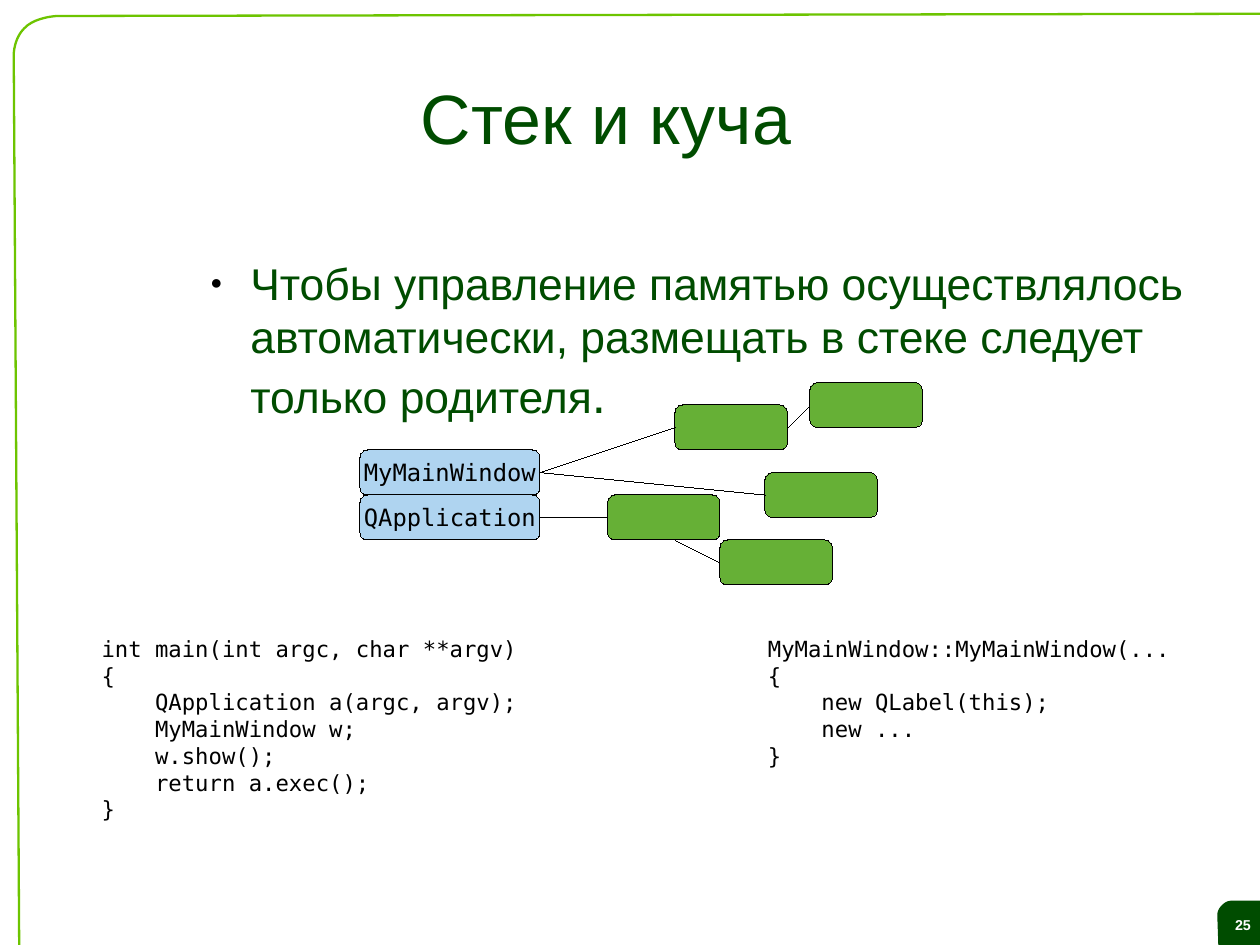
from lxml.etree import SubElement
from pptx import Presentation
from pptx.dml.color import RGBColor
from pptx.enum.shapes import MSO_CONNECTOR as Connector, MSO_SHAPE as Shape
from pptx.enum.text import MSO_ANCHOR as Anchor, MSO_AUTO_SIZE as AutoSize, PP_ALIGN as Align
from pptx.oxml.ns import qn
from pptx.util import Cm, Inches, Pt

# Content
TITLE = "Стек и куча"
BODY = [("Чтобы управление памятью осуществлялось автоматически, "
         "размещать в стеке следует только родителя", 28), (".", 32)]
NUMBER = "25"
SANS, MONO = "Arial", "DejaVu Sans Mono"
DARK, LIME, GREEN, BLUE = "004C00", "6DC400", "66B036", "AFD4F0"
BLACK, WHITE = "000000", "FFFFFF"

# Diagram nodes on a half-centimetre grid: column, row, label
GRID = Cm(0.5)
NODES = {
    "window": (16, 20, "MyMainWindow"),
    "window child 2": (34, 21, ""),
    "window child 1": (30, 18, ""),
    "application grandchild": (32, 24, ""),
    "application child": (27, 22, ""),
    "window grandchild": (36, 17, ""),
    "application": (16, 22, "QApplication"),
}
LEFT, RIGHT = 1, 3

# Links start at the right side of a node or at a free grid point
LINKS = [
    ("window", "window child 1"),
    ("application", "application child"),
    ((30, 24), "application grandchild"),
    ("window", "window child 2"),
    ("window child 1", "window grandchild"),
]

# Code listings: left, top, width, height in inches, then lines
LISTINGS = [
    ((0.79, 5.51, 3.84, 1.7), [
        "int main(int argc, char **argv)",
        "{",
        "    QApplication a(argc, argv);",
        "    MyMainWindow w;",
        "    w.show();",
        "    return a.exec();",
        "}"]),
    ((6.62, 5.51, 3.72, 1.24), [
        "MyMainWindow::MyMainWindow(...",
        "{",
        "    new QLabel(this);",
        "    new ...",
        "}"]),
]

# Outlines in inches: a pair is a corner, three pairs are a curve
FRAME = [(0.5, 0.14), ((0.49, 0.14), (0.3, 0.15), (0.21, 0.25)),
         ((0.12, 0.34), (0.12, 0.48), (0.12, 0.48)),
         (0.17, 8.55), (11.33, 8.57), (11.27, 0.12)]
TAB = [(10.8, 7.88), (11.1, 7.88), (11.1, 8.15),
       ((11.1, 8.19), (11.1, 8.21), (11.07, 8.25)),
       ((11.03, 8.3), (10.99, 8.3), (10.94, 8.31)),
       (10.66, 8.3), (10.65, 8.01),
       ((10.65, 8), (10.65, 7.96), (10.69, 7.92)),
       ((10.73, 7.88), (10.76, 7.88), (10.8, 7.88))]
CURVE_STEPS = 10


def color(value):
    return RGBColor.from_string(value)


def add_run(paragraph, text, size, font=SANS, ink=DARK, bold=False):
    run = paragraph.add_run()
    run.text = text
    run.font.size, run.font.name, run.font.bold = Pt(size), font, bold
    run.font.color.rgb = color(ink)


def draw_line(shape, ink, width=0):
    shape.line.color.rgb = color(ink)
    # A zero width (hairline) has to be written explicitly
    shape._element.spPr.find(qn("a:ln")).set("w", str(Pt(width)))


def paint(shape, fill=None, line=None, width=0):
    shape.shadow.inherit = False
    if fill:
        shape.fill.solid()
        shape.fill.fore_color.rgb = color(fill)
    else:
        shape.fill.background()
    if line:
        draw_line(shape, line, width)
    else:
        shape.line.fill.background()


def place(shape, left, top, width, height):
    shape.left, shape.top = Inches(left), Inches(top)
    shape.width, shape.height = Inches(width), Inches(height)


def set_frame(frame, anchor, side=0, end=0, wrap=True):
    frame.auto_size = AutoSize.NONE
    frame.word_wrap, frame.vertical_anchor = wrap, anchor
    frame.margin_left = frame.margin_right = Inches(side)
    frame.margin_top = frame.margin_bottom = Inches(end)
    return frame.paragraphs[0]


def add_outline(shapes, outline):
    points = [outline[0]]
    for step in outline[1:]:
        if len(step) == 2:
            points.append(step)
            continue
        controls = (points[-1], *step)
        for i in range(1, CURVE_STEPS + 1):
            t = i / CURVE_STEPS
            weights = ((1 - t) ** 3, 3 * t * (1 - t) ** 2, 3 * t * t * (1 - t), t ** 3)
            points.append(tuple(sum(w * c[axis] for w, c in zip(weights, controls))
                                for axis in (0, 1)))
    points = [(Inches(x), Inches(y)) for x, y in points]
    builder = shapes.build_freeform(*points[0])
    builder.add_line_segments(points[1:], close=True)
    return builder.convert_to_shape()


def add_node(shapes, column, row, label):
    node = shapes.add_shape(Shape.ROUNDED_RECTANGLE, column * GRID, row * GRID,
                            (8 if label else 5) * GRID, 2 * GRID)
    node.adjustments[0] = 0.167
    paint(node, BLUE if label else GREEN, BLACK)
    if label:
        paragraph = set_frame(node.text_frame, Anchor.MIDDLE, 0.1, 0.05, wrap=False)
        paragraph.alignment = Align.CENTER
        add_run(paragraph, label, 15, MONO, BLACK)
    return node


def main():
    presentation = Presentation()
    presentation.slide_width, presentation.slide_height = Cm(28), Cm(21)
    slide = presentation.slides.add_slide(presentation.slide_layouts[1])
    shapes = slide.shapes

    # Page number tab and green border
    tab = add_outline(shapes, TAB)
    paint(tab, DARK)
    paragraph = set_frame(tab.text_frame, Anchor.MIDDLE, 0.11, 0.06)
    paragraph.alignment = Align.CENTER
    add_run(paragraph, NUMBER, 9, ink=WHITE, bold=True)
    paint(add_outline(shapes, FRAME), line=LIME, width=1.45)

    # Title
    place(shapes.title, 1.72, 0.33, 7.17, 1.38)
    paragraph = set_frame(shapes.title.text_frame, Anchor.MIDDLE)
    paragraph.alignment = Align.CENTER
    add_run(paragraph, TITLE, 44)

    # Bulleted statement
    body = slide.placeholders[1]
    place(body, 1.72, 2.24, 8.79, 5.46)
    paragraph = set_frame(body.text_frame, Anchor.TOP)
    paragraph.space_before, paragraph.space_after = Pt(0), Pt(14.2)
    properties = paragraph._p.get_or_add_pPr()
    properties.set("marL", str(Inches(0.47)))
    properties.set("indent", str(Inches(-0.35)))
    SubElement(SubElement(properties, qn("a:buClr")), qn("a:srgbClr")).set("val", BLACK)
    SubElement(properties, qn("a:buSzPct")).set("val", "45000")
    SubElement(properties, qn("a:buChar")).set("char", "●")
    for text, size in BODY:
        add_run(paragraph, text, size)

    # Object tree
    nodes = {name: add_node(shapes, *node) for name, node in NODES.items()}
    for start, child in LINKS:
        link = shapes.add_connector(Connector.STRAIGHT, 0, 0, 0, 0)
        if start in nodes:
            link.begin_connect(nodes[start], RIGHT)
        else:
            link.begin_x, link.begin_y = (step * GRID for step in start)
        link.end_connect(nodes[child], LEFT)
        draw_line(link, BLACK)
        SubElement(link._element.spPr, qn("a:effectLst"))

    # Code listings
    for box, lines in LISTINGS:
        frame = shapes.add_textbox(*map(Inches, box)).text_frame
        paragraph = set_frame(frame, Anchor.TOP, 0.1, 0.05, wrap=False)
        for i, line in enumerate(lines):
            add_run(frame.add_paragraph() if i else paragraph, line, 14, MONO, BLACK)

    presentation.save("out.pptx")


if __name__ == "__main__":
    main()
